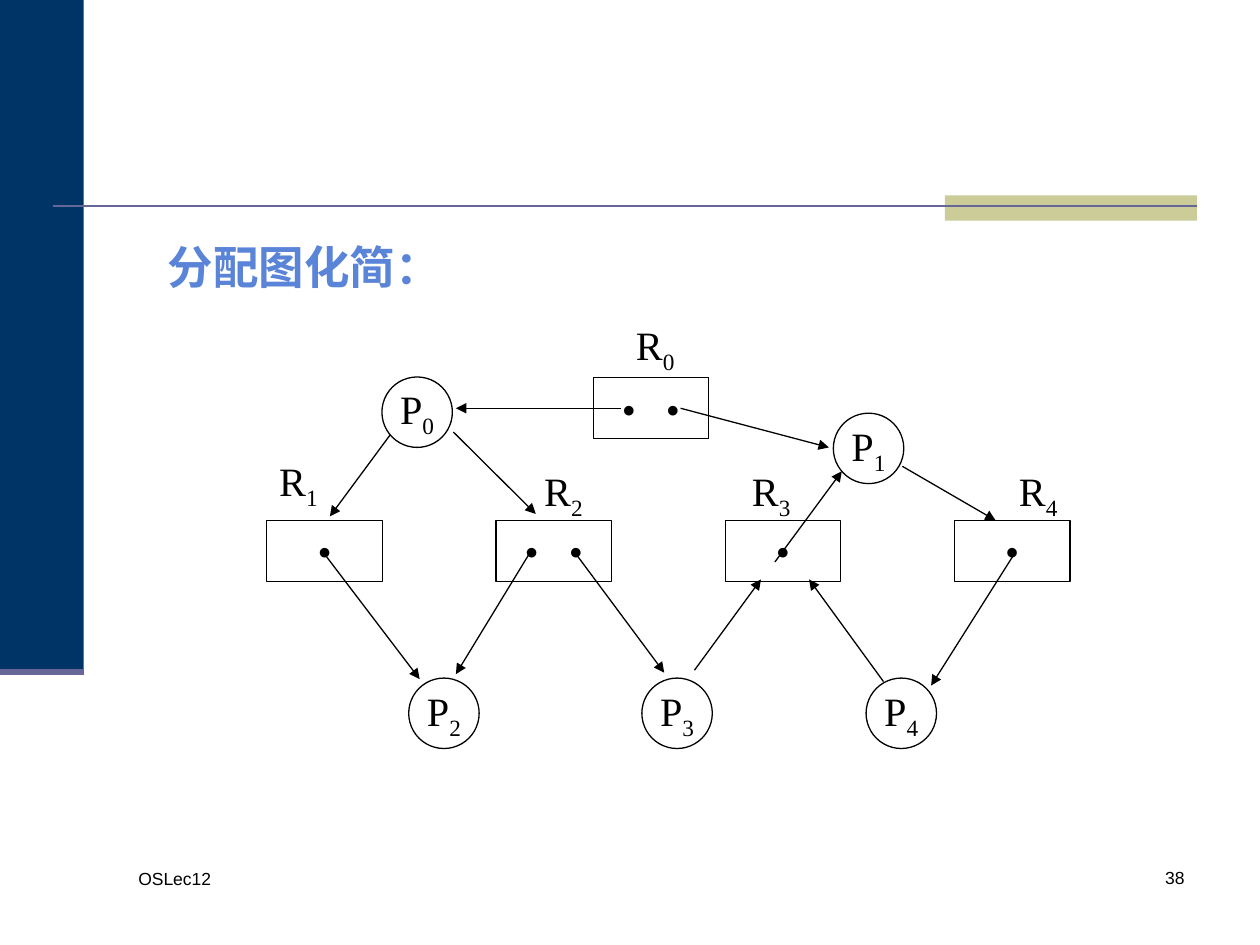
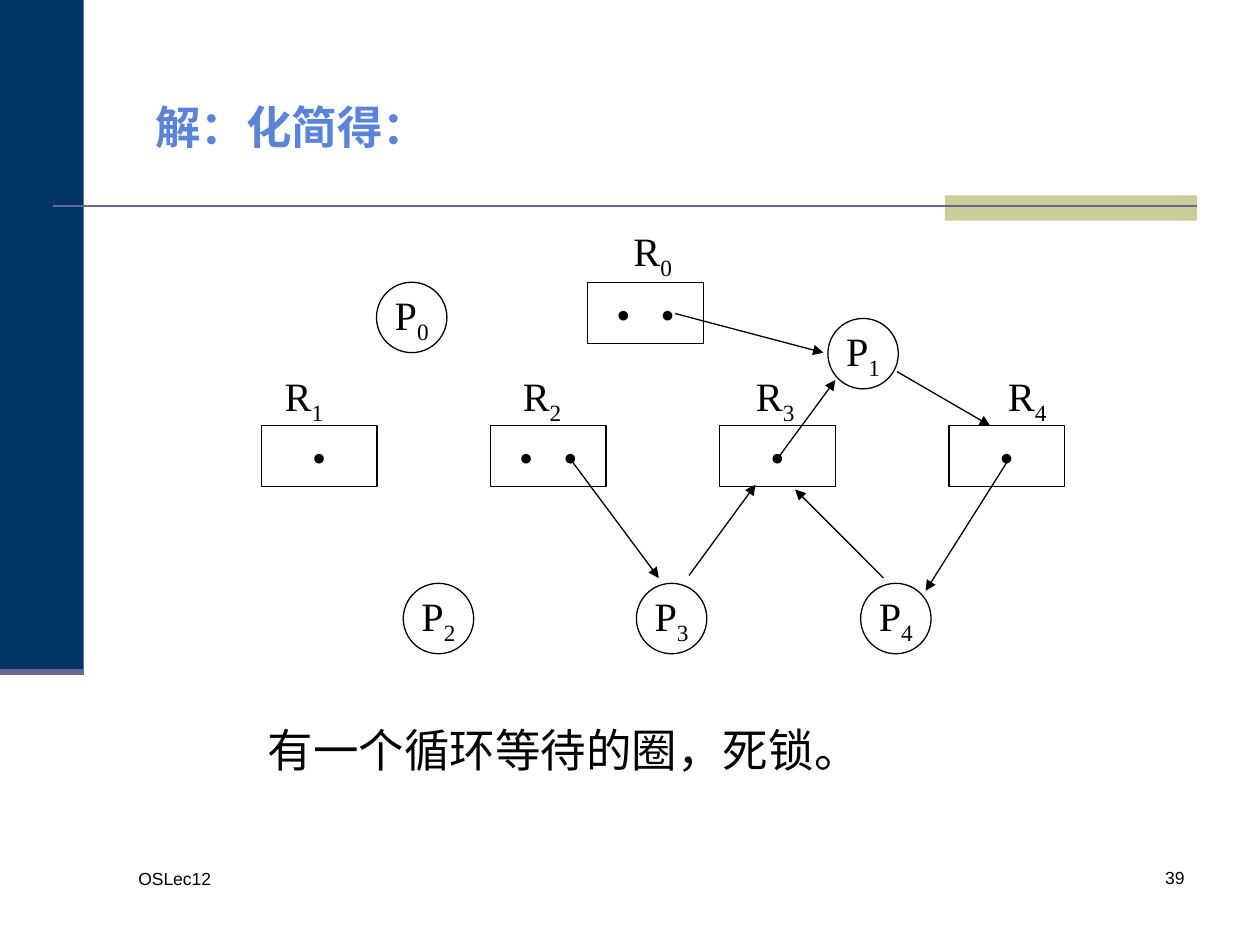
from lxml.etree import SubElement
from pptx import Presentation
from pptx.dml.color import RGBColor
from pptx.enum.shapes import MSO_CONNECTOR, MSO_SHAPE
from pptx.enum.text import MSO_ANCHOR, MSO_AUTO_SIZE, PP_ALIGN
from pptx.oxml.ns import qn
from pptx.util import Cm, Pt

NAVY = RGBColor(0x00, 0x33, 0x66)
SAND = RGBColor(0xCC, 0xCC, 0x99)
VIOLET = RGBColor(0x66, 0x66, 0x99)
BLUE = RGBColor(0x5A, 0x84, 0xD8)
BLACK = RGBColor(0, 0, 0)

SERIF, SANS = "Times New Roman", "Arial"

# Graph layout in centimetres
ROUND = 1.42
BOX_W, BOX_H = 2.33, 1.23
ROW_X, ROW_Y, STEP = 5.38, 10.49, 4.62
LOW_Y = 13.67
LABEL_W, LABEL_Y = 1.4, 9.27

PROCS = [(7.7, 7.6), (16.8, 8.33), (8.24, LOW_Y), (12.94, LOW_Y), (17.46, LOW_Y)]
POOLS = [(11.96, 7.61)] + [(ROW_X + i * STEP, ROW_Y) for i in range(4)]
UNITS = [2, 1, 2, 1, 1]

# Edges: (from, to) -> start x, start y, end x, end y
EDGES = {
    ("R0", "P0"): (12.52, 8.23, 9.19, 8.23),
    ("P0", "R1"): (7.87, 8.76, 6.65, 10.41),
    ("P0", "R2"): (9.14, 8.71, 10.8, 10.36),
    ("R0", "P1"): (13.72, 8.23, 16.71, 9.02),
    ("R1", "P2"): (6.55, 11.18, 8.46, 13.69),
    ("R2", "P2"): (10.69, 11.13, 9.19, 13.59),
    ("R2", "P3"): (11.56, 11.1, 13.39, 13.56),
    ("P3", "R3"): (14, 13.51, 15.34, 11.68),
    ("R3", "P1"): (15.62, 11.33, 16.97, 9.5),
    ("P1", "R4"): (18.19, 9.4, 20.07, 10.49),
    ("R4", "P4"): (20.47, 11.13, 18.77, 13.82),
    ("P4", "R3"): (17.81, 13.74, 16.31, 11.68),
}
GONE = [("R0", "P0"), ("P0", "R1"), ("P0", "R2"), ("R1", "P2"), ("R2", "P2")]
REDUCED = {pair: ends for pair, ends in EDGES.items() if pair not in GONE}
REDUCED.update({
    ("R3", "P1"): (15.81, 11.12, 16.95, 9.57),
    ("P4", "R3"): (17.92, 13.56, 16.14, 11.78),
})

LABELS = [(12.57, 6.34), (5.38, 9.07), (10.72, LABEL_Y), (14.91, LABEL_Y),
          (20.29, LABEL_Y)]
MOVED = [(12.63, 6.34), (5.6, LABEL_Y), (10.4, LABEL_Y), (15.1, LABEL_Y),
         (20.18, LABEL_Y)]


def write(frame, text, sub="", size=23, font=SERIF, color=BLACK, bold=False,
          align=PP_ALIGN.LEFT, wrap=False):
    """Fill a text frame with one line and an optional subscript."""
    frame.word_wrap = wrap
    para = frame.paragraphs[0]
    para.alignment = align
    runs = []
    for part in filter(None, (text, sub)):
        run = para.add_run()
        run.text = part
        run.font.size = Pt(size)
        run.font.name = font
        run.font.bold = bold
        run.font.color.rgb = color
        runs.append(run)
    if sub:
        runs[-1].font._element.set("baseline", "-25000")


class Deck:
    def __init__(self):
        self.prs = Presentation()
        self.prs.slide_width, self.prs.slide_height = Cm(25.4), Cm(19.05)
        self.slide = None

    def page(self, number):
        """Start a slide with its bands, rules and footer."""
        self.slide = self.prs.slides.add_slide(self.prs.slide_layouts[6])
        self.shape(0, 0, 1.69, 13.54, fill=NAVY)
        self.shape(19.05, 3.94, 5.08, 0.51, fill=SAND)
        self.line(1.06, 4.15, 24.13, 4.15, color=VIOLET, width=1.5)
        self.line(0, 13.54, 1.69, 13.54, color=VIOLET, width=3.5)
        self.text(2.54, 17.37, 5.51, 1.27, "OSLec12", size=10, font=SANS, wrap=True)
        self.text(18.85, 17.35, 5.28, 1.27, str(number), size=10, font=SANS,
                  align=PP_ALIGN.RIGHT, wrap=True)

    def shape(self, x, y, w, h, kind=MSO_SHAPE.RECTANGLE, fill=None):
        """Add a filled band, or an outlined node when there is no fill."""
        item = self.slide.shapes.add_shape(kind, Cm(x), Cm(y), Cm(w), Cm(h))
        item.shadow.inherit = False
        if fill is not None:
            item.fill.solid()
            item.fill.fore_color.rgb = fill
            item.line.fill.background()
        else:
            item.fill.background()
            item.line.color.rgb = BLACK
            item.line.width = Pt(0.75)
            item.text_frame.vertical_anchor = MSO_ANCHOR.MIDDLE
        return item

    def text(self, x, y, w, h, text, **style):
        box = self.slide.shapes.add_textbox(Cm(x), Cm(y), Cm(w), Cm(h))
        write(box.text_frame, text, **style)
        if not style.get("wrap"):
            box.text_frame.auto_size = MSO_AUTO_SIZE.SHAPE_TO_FIT_TEXT

    def title(self, x, y, text):
        self.text(x, y, 6, 1.35, text, size=26, color=BLUE, bold=True)

    def line(self, x1, y1, x2, y2, color=BLACK, width=0.75, arrow=False):
        item = self.slide.shapes.add_connector(
            MSO_CONNECTOR.STRAIGHT, Cm(x1), Cm(y1), Cm(x2), Cm(y2))
        item.line.color.rgb = color
        item.line.width = Pt(width)
        if arrow:
            SubElement(item.line._get_or_add_ln(), qn("a:tailEnd"), type="triangle")
        SubElement(item._element.spPr, qn("a:effectLst"))

    def process(self, x, y, index):
        node = self.shape(x, y, ROUND, ROUND, MSO_SHAPE.OVAL)
        write(node.text_frame, "P", str(index), align=PP_ALIGN.CENTER)

    def pool(self, x, y, units):
        """Add a resource box with one dot for each unit."""
        frame = self.shape(x, y, BOX_W, BOX_H).text_frame
        write(frame, " ".join("•" * units), align=PP_ALIGN.CENTER)
        if units > 1:
            # Letter spacing sets the gap between the dots
            frame.paragraphs[0].runs[0].font._element.set("spc", "575")

    def graph(self, edges, labels, dx=0, dy=0):
        """Draw the allocation graph, moved by dx and dy."""
        for i, (x, y) in enumerate(PROCS):
            self.process(x + dx, y + dy, i)
        for (x, y), units in zip(POOLS, UNITS):
            self.pool(x + dx, y + dy, units)
        for x1, y1, x2, y2 in edges.values():
            self.line(x1 + dx, y1 + dy, x2 + dx, y2 + dy, arrow=True)
        for i, (x, y) in enumerate(labels):
            self.text(x + dx, y + dy, LABEL_W, 1.35, "R", sub=str(i))


def main():
    deck = Deck()
    deck.page(38)
    deck.title(3.13, 4.7, "分配图化简：")
    deck.graph(EDGES, LABELS)

    deck.page(39)
    deck.title(2.88, 1.88, "解：化简得：")
    deck.graph(REDUCED, MOVED, dx=-0.11, dy=-1.91)
    deck.text(5.15, 14.43, 12.42, 1.35, "有一个循环等待的圈，死锁。", size=26)
    deck.prs.save("out.pptx")


if __name__ == "__main__":
    main()
